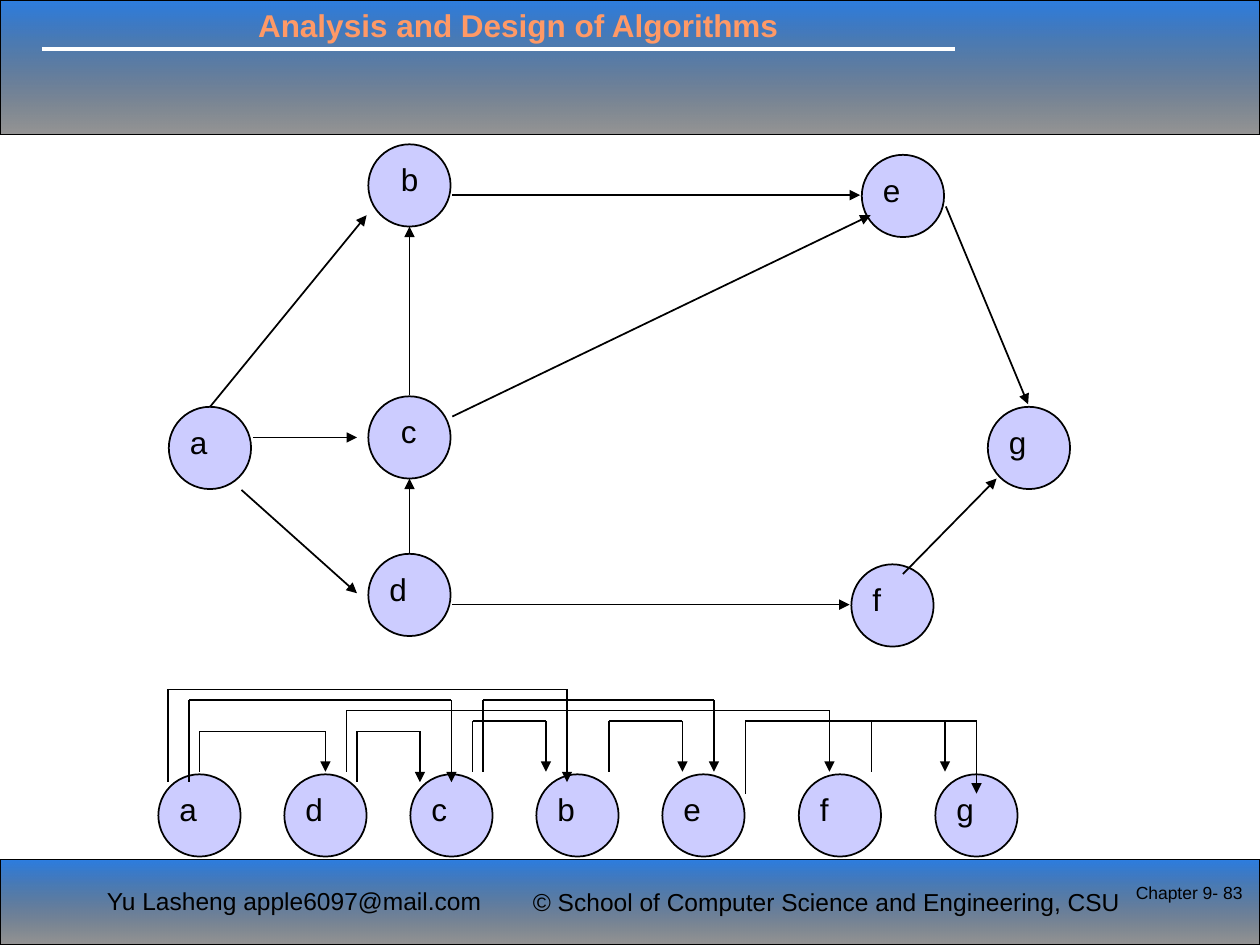
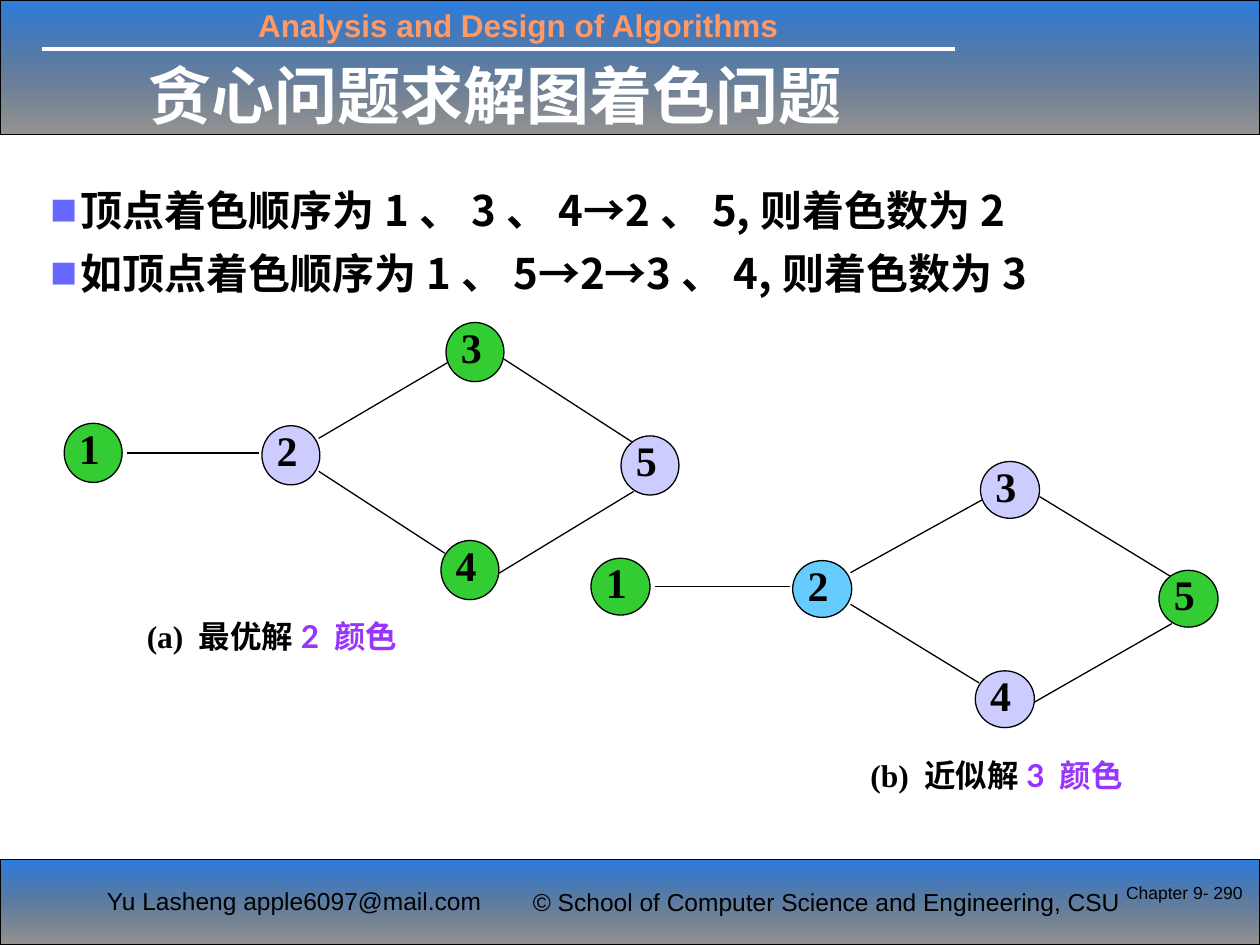
from dataclasses import dataclass

from lxml.etree import SubElement
from pptx import Presentation
from pptx.dml.color import RGBColor
from pptx.enum.shapes import MSO_CONNECTOR, MSO_SHAPE
from pptx.enum.text import MSO_ANCHOR as Anchor, PP_ALIGN as Align
from pptx.oxml.ns import qn
from pptx.util import Pt


@dataclass(frozen=True)
class Theme:
    black: str = "000000"
    white: str = "FFFFFF"
    band: str = "0E6BDC"
    course: str = "FF9966"
    lavender: str = "CCCCFF"
    green: str = "33CC33"
    sky: str = "66CCFF"
    purple: str = "9933FF"
    bullet: str = "6767FF"
    sans: str = "Arial"
    serif: str = "Times New Roman"
    chinese: str = "Noto Sans CJK SC"
    caption: str = "Lato"
    title_size: float = 36
    body_size: float = 24
    label_size: float = 18
    footer_size: float = 14
    page_size: float = 10


THEME = Theme()
WIDTH, HEIGHT = 720, 540
NODE = 47


def rgb(code):
    return RGBColor.from_string(code)


class Deck:
    def __init__(self, theme):
        self.theme = theme
        self.prs = Presentation()
        self.prs.slide_width, self.prs.slide_height = Pt(WIDTH), Pt(HEIGHT)
        self.slide = None

    def new_slide(self, page):
        """Start a slide with the bands, course name and footers all slides share."""
        t = self.theme
        self.slide = self.prs.slides.add_slide(self.prs.slide_layouts[6])
        self.band(0, 77)
        self.band(491, 49)
        self.line((24, 28), (546, 28), t.white, 2.25)
        self.text("Analysis and Design of Algorithms", (140.4, 0, 360, 29),
                  t.label_size, color=t.course, bold=True)
        self.text("Yu Lasheng apple6097@mail.com", (54, 502.6, 231, 25), t.footer_size)
        self.text("© School of Computer Science and Engineering, CSU",
                  (297.4, 503.3, 368.6, 25), t.footer_size)
        self.text(f"Chapter 9- {page}", (632, 500.4, 85, 36), t.page_size,
                  align=Align.RIGHT)

    def shape(self, kind, box, line_width):
        shape = self.slide.shapes.add_shape(kind, *map(Pt, box))
        shape.shadow.inherit = False
        shape.line.color.rgb = rgb(self.theme.black)
        shape.line.width = Pt(line_width)
        return shape

    def band(self, top, height):
        fill = self.shape(MSO_SHAPE.RECTANGLE, (0, top, WIDTH, height), 0.75).fill
        fill.gradient()
        fill.gradient_angle = 270
        ends = ((0, self.theme.band, 88), (1, self.theme.black, 41))
        for stop, (position, color, opacity) in zip(fill.gradient_stops, ends):
            stop.position = position
            stop.color.rgb = rgb(color)
            for code in stop._gs.iter(qn("a:srgbClr")):
                SubElement(code, qn("a:alpha")).set("val", str(opacity * 1000))

    def line(self, start, end, color=None, width=1.0, arrow=False):
        line = self.slide.shapes.add_connector(
            MSO_CONNECTOR.STRAIGHT, *map(Pt, (*start, *end)))
        line.line.color.rgb = rgb(color or self.theme.black)
        line.line.width = Pt(width)
        properties = line._element.spPr
        if arrow:
            SubElement(properties.find(qn("a:ln")), qn("a:tailEnd")).set("type", "triangle")
        SubElement(properties, qn("a:effectLst"))

    def circle(self, box, color, line_width=1.0):
        circle = self.shape(MSO_SHAPE.OVAL, box, line_width)
        circle.fill.solid()
        circle.fill.fore_color.rgb = rgb(color)
        return circle

    def format_run(self, run, size, font=None, color=None, bold=False):
        font = font or self.theme.sans
        run.font.size, run.font.bold, run.font.name = Pt(size), bold, font
        run.font.color.rgb = rgb(color or self.theme.black)
        SubElement(run._r.rPr, qn("a:ea")).set("typeface", font)

    def text_frame(self, box, anchor=Anchor.TOP):
        frame = self.slide.shapes.add_textbox(*map(Pt, box)).text_frame
        frame.word_wrap = True
        frame.vertical_anchor = anchor
        return frame

    def text(self, words, box, size, font=None, color=None, bold=False,
             align=Align.LEFT, anchor=Anchor.TOP):
        frame = self.text_frame(box, anchor)
        frame.text = words
        frame.paragraphs[0].alignment = align
        self.format_run(frame.paragraphs[0].runs[0], size, font, color, bold)

    def title(self, words):
        self.text(words, (15.8, 28.5, 472, 50.4), self.theme.title_size,
                  self.theme.chinese, self.theme.white, True, Align.RIGHT, Anchor.MIDDLE)

    def bullets(self, lines, box):
        t = self.theme
        frame = self.text_frame(box)
        frame.text = "\n".join(lines)
        for index, paragraph in enumerate(frame.paragraphs):
            props = paragraph._p.get_or_add_pPr()
            props.set("marL", str(Pt(36)))
            props.set("indent", str(Pt(-17)))
            SubElement(SubElement(props, qn("a:buClr")), qn("a:srgbClr")).set("val", t.bullet)
            SubElement(props, qn("a:buSzPct")).set("val", "65000")
            SubElement(props, qn("a:buFont")).set("typeface", t.chinese)
            SubElement(props, qn("a:buChar")).set("char", "■")
            paragraph.line_spacing = Pt(28.8)
            paragraph.space_before = Pt(7.2 if index else 0)
            self.format_run(paragraph.runs[0], t.body_size, t.chinese, bold=True)

    def caption(self, tag, answer, colors, left, top):
        t = self.theme
        paragraph = self.text_frame((left, top, 181.4, 29)).paragraphs[0]
        paragraph.alignment = Align.CENTER
        for words, font, color in ((f"{tag} ", t.serif, t.black),
                                   (answer, t.caption, t.black),
                                   (colors, t.caption, t.purple)):
            run = paragraph.add_run()
            run.text = words
            self.format_run(run, t.label_size, font, color, True)

    def lettered_node(self, letter, x, y, label_shift=-18.5):
        self.circle((x - NODE / 2, y - NODE / 2, NODE, NODE), self.theme.lavender)
        self.text(letter, (x + label_shift, y - 18, 31, 37), self.theme.label_size)

    def numbered_node(self, number, box, color):
        circle = self.circle(box, color, 0.75)
        frame = circle.text_frame
        frame.margin_left = Pt(3.6)
        frame.margin_top = frame.margin_right = frame.margin_bottom = 0
        frame.vertical_anchor = Anchor.TOP
        frame.text = str(number)
        frame.paragraphs[0].alignment = Align.JUSTIFY
        frame.paragraphs[0].line_spacing = 0.8
        self.format_run(frame.paragraphs[0].runs[0], self.theme.body_size,
                        self.theme.serif, bold=True)

    def bracket(self, left, right, top, bottom):
        """Lead up from one node, across, and down to another with an arrow."""
        self.line((left, top), (left, bottom))
        self.line((left, top), (right, top))
        self.line((right, top), (right, bottom), arrow=True)

    def colored_graph(self, origin, colors, scale=(1, 1)):
        def place(point):
            return tuple(o + p * s for o, p, s in zip(origin, point, scale))

        size = (33.1 * scale[0], 33.8 * scale[1])
        for number, (spot, color) in enumerate(zip(GRAPH_NODES, colors), 1):
            self.numbered_node(number, (*place(spot), *size), color)
        for start, end in GRAPH_EDGES:
            self.line(place(start), place(end), width=0.75)


# Centre of each node; b and c carry their letter nearer the middle
NETWORK = {"a": (120, 256), "b": (234, 106, -12), "c": (234, 250, -12),
           "d": (234, 340), "e": (516, 112), "f": (510, 346), "g": (588, 256)}
NETWORK_EDGES = [
    ((120, 232.5), (209.5, 123)),
    ((144.5, 250), (204, 250)),
    ((138, 280), (204, 339)),
    ((234, 226), (234, 129.5)),
    ((234, 316), (234, 273.5)),
    ((258.5, 111.5), (491.5, 111.5)),
    ((258.5, 238), (497.5, 123)),
    ((258.5, 345.5), (485.5, 345.5)),
    ((516, 328), (569.5, 273.5)),
    ((540.5, 118), (587.5, 231)),
]
ORDER = {"a": 114, "d": 186, "c": 258, "b": 330, "e": 402, "f": 480, "g": 558}
# Left, right, top, bottom
ORDER_EDGES = [
    (114, 186, 418, 441), (108, 258, 400, 447), (96, 324, 394, 447),
    (204, 240, 418, 447), (198, 474, 406, 441), (270, 312, 412, 441),
    (276, 408, 400, 441), (348, 390, 412, 441), (498, 540, 412, 441),
    (426, 558, 412, 453.5),
]
# Offsets from the corner of node 1
GRAPH_NODES = [(0, 0), (113, 1.4), (218.2, -57.6), (215.3, 67), (318.2, 7.2)]
GRAPH_EDGES = [
    ((36, 17), (111.6, 17)),
    ((145.4, 8.6), (218.9, -34.6)),
    ((145.4, 27.4), (217.4, 74.2)),
    ((248.4, 85.7), (325.4, 38.9)),
    ((324.7, 10.8), (251.3, -36.7)),
]


def topological_order(deck):
    deck.new_slide(83)
    for letter, place in NETWORK.items():
        deck.lettered_node(letter, *place)
    for start, end in NETWORK_EDGES:
        deck.line(start, end, arrow=True)
    for letter, x in ORDER.items():
        deck.lettered_node(letter, x, 466)
    for edge in ORDER_EDGES:
        deck.bracket(*edge)


def graph_coloring(deck):
    t = deck.theme
    deck.new_slide(290)
    deck.title("贪心问题求解图着色问题")
    deck.bullets(["顶点着色顺序为1、3、4→2、5,则着色数为2",
                  "如顶点着色顺序为1、5→2→3、4,则着色数为3"], (2.9, 101.8, 601, 74))
    deck.colored_graph((36.7, 241.9), (t.green, t.lavender, t.green, t.green, t.lavender))
    deck.colored_graph((337.7, 319), (t.green, t.sky, t.lavender, t.lavender, t.green),
                       (1.02, 0.96))
    deck.caption("(a)", "最优解", "2 颜色", 64.8, 349.2)
    deck.caption("(b)", "近似解", "3 颜色", 478.8, 428.4)


def main():
    deck = Deck(THEME)
    topological_order(deck)
    graph_coloring(deck)
    deck.prs.save("out.pptx")


if __name__ == "__main__":
    main()
